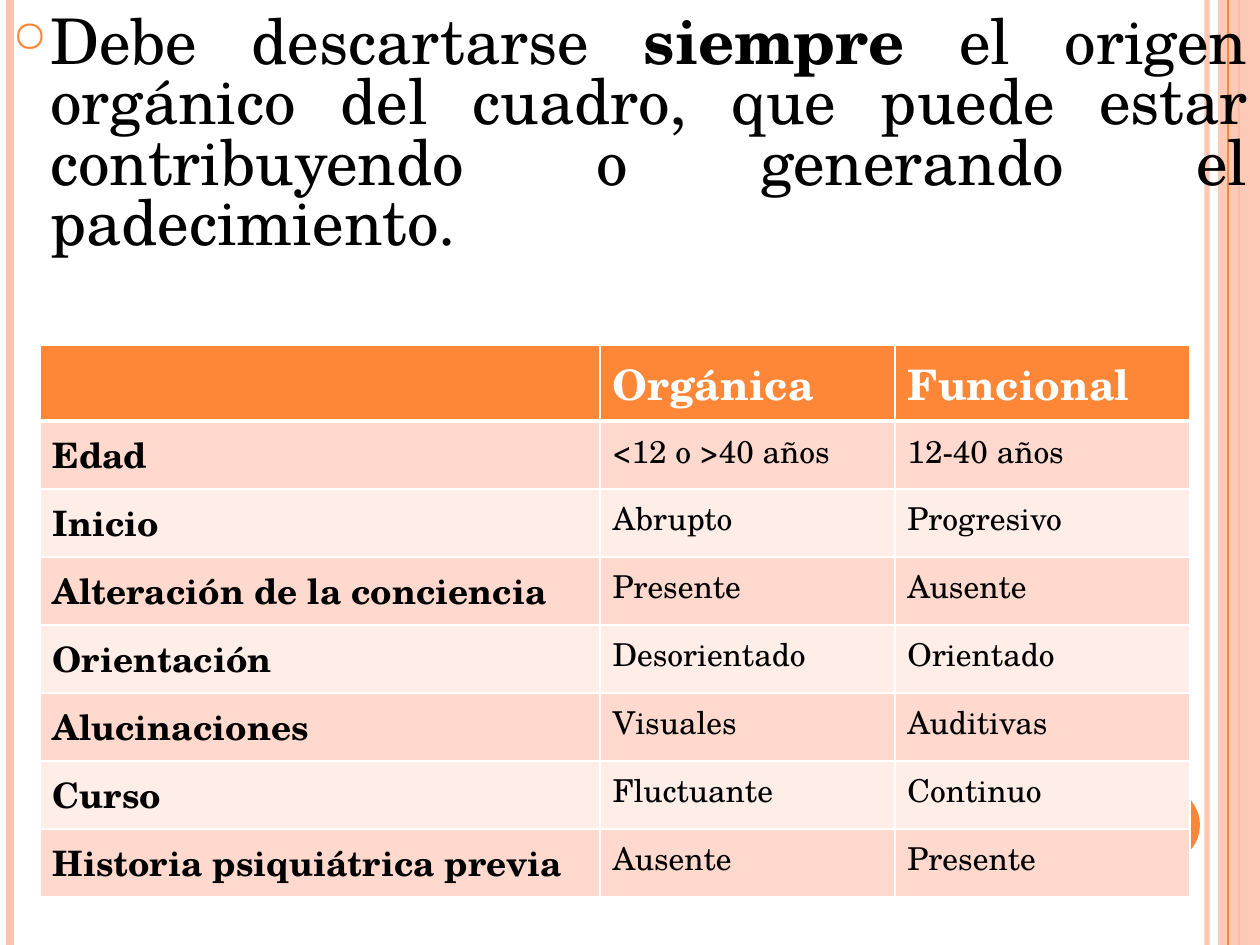
from dataclasses import dataclass

from lxml.etree import SubElement
from pptx import Presentation
from pptx.dml.color import RGBColor
from pptx.enum.shapes import MSO_CONNECTOR, MSO_SHAPE
from pptx.enum.text import PP_ALIGN
from pptx.oxml import parse_xml
from pptx.oxml.ns import nsdecls, qn
from pptx.util import Emu, Pt

PAGE_WIDTH, PAGE_HEIGHT = 1260, 945


@dataclass(frozen=True)
class Theme:
    """Colours and type sizes of the slide."""
    font: str = "TeX Gyre Schola"
    ink: str = "000000"
    paper: str = "FFFFFF"
    accent: str = "FE8637"
    stripe: str = "FEC3AE"
    bands: tuple = ("FFD9CE", "FFEDE8")
    statement: int = 36
    header: int = 24
    label: int = 20
    value: int = 18


THEME = Theme()

COMPARISON = [
    ("", "Orgánica", "Funcional"),
    ("Edad", "<12 o >40 años", "12-40 años"),
    ("Inicio", "Abrupto", "Progresivo"),
    ("Alteración de la conciencia", "Presente", "Ausente"),
    ("Orientación", "Desorientado", "Orientado"),
    ("Alucinaciones", "Visuales", "Auditivas"),
    ("Curso", "Fluctuante", "Continuo"),
    ("Historia psiquiátrica previa", "Ausente", "Presente"),
]


def px(length):
    """Turn slide pixels into EMU."""
    return Emu(round(length * 914400 / 126))


def set_fill(fill, color, opacity=100):
    """Fill solidly, with an opacity in percent."""
    fill.solid()
    fill.fore_color.rgb = RGBColor.from_string(color)
    if opacity < 100:
        color_node = fill._xPr.find(qn("a:solidFill"))[0]
        SubElement(color_node, qn("a:alpha"), val=str(opacity * 1000))


def add_span(para, text, *, size, color=THEME.ink, bold=False):
    """Append a formatted run to a paragraph."""
    span = para.add_run()
    span.text = text
    span.font.name = THEME.font
    span.font.size = Pt(size)
    span.font.bold = bold
    span.font.color.rgb = RGBColor.from_string(color)


def add_rule(page, x, *, color, weight, opacity=100):
    """Draw a vertical line over the full page height."""
    rule = page.shapes.add_connector(
        MSO_CONNECTOR.STRAIGHT, px(x), 0, px(x), px(PAGE_HEIGHT))
    rule.line.width = Pt(weight)
    set_fill(rule.line.fill, color, opacity)
    SubElement(rule._element.spPr, qn("a:effectLst"))


def add_block(page, preset, bounds, *, color, opacity=100):
    """Draw a filled preset shape without outline."""
    block = page.shapes.add_shape(preset, *map(px, bounds))
    block.shadow.inherit = False
    set_fill(block.fill, color, opacity)
    block.line.fill.background()


def add_bullet(para, *, indent, color, percent, mark):
    """Give a paragraph a hanging bullet."""
    props = para._p.get_or_add_pPr()
    props.set("marL", str(px(indent)))
    props.set("indent", str(-px(indent)))
    tint = SubElement(props, qn("a:buClr"))
    SubElement(tint, qn("a:srgbClr"), val=color)
    SubElement(props, qn("a:buSzPct"), val=str(percent * 1000))
    SubElement(props, qn("a:buChar"), char=mark)


def add_statement(page):
    """Write the justified statement above the table."""
    box = page.shapes.add_textbox(0, 0, px(PAGE_WIDTH), px(PAGE_HEIGHT))
    frame = box.text_frame
    frame.word_wrap = True
    frame.margin_top = px(16)
    para = frame.paragraphs[0]
    add_bullet(para, indent=38, color=THEME.accent, percent=70, mark="○")
    para.alignment = PP_ALIGN.JUSTIFY
    para.line_spacing = 0.8
    add_span(para, "Debe descartarse ", size=THEME.statement)
    add_span(para, "siempre", size=THEME.statement, bold=True)
    add_span(para, " el origen orgánico del cuadro, que puede estar "
             "contribuyendo o generando el padecimiento.", size=THEME.statement)


def set_borders(cell, *, color, **weights):
    """Border a cell, with one weight in points per side."""
    props = cell._tc.get_or_add_tcPr()
    for place, (side, weight) in enumerate(weights.items()):
        props.insert(place, parse_xml(
            f'<a:ln{side} {nsdecls("a")} w="{Pt(weight)}"><a:solidFill>'
            f'<a:srgbClr val="{color}"/></a:solidFill></a:ln{side}>'))


def fill_cell(cell, text, *, row, column):
    """Write and style one cell by its place in the table."""
    is_header, is_label = row == 0, column == 0
    set_fill(cell.fill, THEME.accent if is_header else THEME.bands[(row - 1) % 2])
    set_borders(cell, color=THEME.paper, L=1, R=1,
                T=3 if row == 1 else 1, B=3 if is_header else 1)
    if text:
        size = (THEME.header if is_header
                else THEME.label if is_label else THEME.value)
        add_span(cell.text_frame.paragraphs[0], text, size=size,
                 color=THEME.paper if is_header else THEME.ink,
                 bold=is_header or is_label)


def add_comparison(page):
    """Build the table of organic and functional features."""
    widths = (560, 295, 295)
    heights = [76] + [68] * (len(COMPARISON) - 1)
    table = page.shapes.add_table(
        len(heights), len(widths), px(40), px(345),
        px(sum(widths)), px(sum(heights))).table
    for column, width in zip(table.columns, widths):
        column.width = px(width)
    for row, height in zip(table.rows, heights):
        row.height = px(height)
    for row, texts in enumerate(COMPARISON):
        for column, text in enumerate(texts):
            fill_cell(table.cell(row, column), text, row=row, column=column)


def add_decoration(page):
    """Draw the side stripes and the disc."""
    add_rule(page, 1207, color=THEME.stripe, weight=3, opacity=93)
    add_rule(page, 10, color=THEME.stripe, weight=4.5)
    add_rule(page, 1239, color=THEME.accent, weight=1.5)
    add_block(page, MSO_SHAPE.RECTANGLE, (1218, 0, 42, PAGE_HEIGHT),
              color=THEME.stripe, opacity=87)
    add_rule(page, 1228, color=THEME.accent, weight=0.75)
    add_block(page, MSO_SHAPE.OVAL, (1124, 787, 76, 76), color=THEME.accent)


def main():
    """Build and save the deck."""
    deck = Presentation()
    deck.slide_width, deck.slide_height = px(PAGE_WIDTH), px(PAGE_HEIGHT)
    page = deck.slides.add_slide(deck.slide_layouts[6])
    set_fill(page.background.fill, THEME.paper)
    add_decoration(page)
    add_statement(page)
    add_comparison(page)
    deck.save("out.pptx")


if __name__ == "__main__":
    main()
